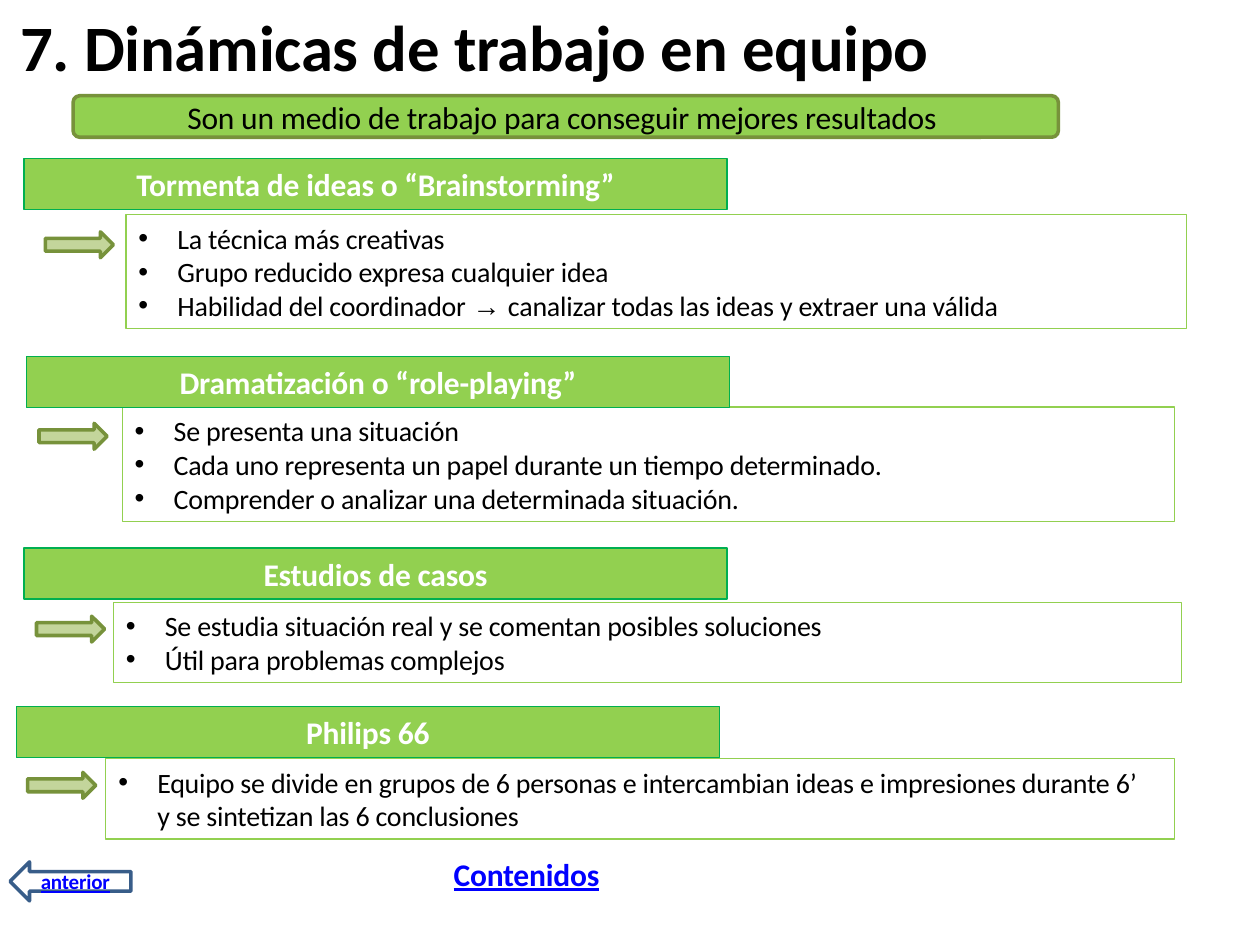
from lxml import etree
from pptx import Presentation
from pptx import util as u
from pptx.dml.color import RGBColor
from pptx.enum import shapes, text
from pptx.oxml.ns import qn

COLORS = {
    "green": "92D050", "emerald": "00AF50", "olive": "77923B", "sage": "C3D59B",
    "navy": "385D89", "link": "0000FF", "black": "000000", "white": "FFFFFF",
}
WIDTH, HEIGHT = u.Inches(10), u.Inches(7.5)
COLUMN, ROW = WIDTH / 100, HEIGHT / 75
HEADING_SIZE = (55.8, 4.05)
POINTER_SIZE = (5.4, 2.05)
LINE_ROWS, LIST_PADDING = 2.7, 1

TECHNIQUES = [
    {"heading": "Tormenta de ideas o “Brainstorming”", "heading_at": (1.9, 12.6),
     "list_at": (10, 17), "list_width": 84.2, "pointer_at": (3.6, 18.4), "lines": 3,
     "ideas": ["La técnica más creativas", "Grupo reducido expresa cualquier idea",
               "Habilidad del coordinador → canalizar todas las ideas y extraer una válida"]},
    {"heading": "Dramatización o “role-playing”", "heading_at": (2.1, 28.3),
     "list_at": (9.7, 32.3), "list_width": 83.5, "pointer_at": (3.1, 33.6), "lines": 3,
     "ideas": ["Se presenta una situación",
               "Cada uno representa un papel durante un tiempo determinado.",
               "Comprender o analizar una determinada situación."]},
    {"heading": "Estudios de casos", "heading_at": (1.9, 43.5),
     "list_at": (9, 47.8), "list_width": 84.8, "pointer_at": (2.9, 48.9), "lines": 2,
     "ideas": ["Se estudia situación real y se comentan posibles soluciones",
               "Útil para problemas complejos"]},
    {"heading": "Philips 66", "heading_at": (1.3, 56.1),
     "list_at": (8.4, 60.2), "list_width": 84.8, "pointer_at": (2.2, 61.3), "lines": 2,
     "ideas": ["Equipo se divide en grupos de 6 personas e intercambian ideas e impresiones "
               "durante 6’ y se sintetizan las 6 conclusiones"]},
]


def rgb(name):
    """Return the named palette colour."""
    return RGBColor.from_string(COLORS[name])


def place(left, top, width, height):
    """Turn grid columns and rows into slide lengths."""
    return [round(n * unit) for n, unit in
            zip((left, top, width, height), (COLUMN, ROW, COLUMN, ROW))]


def add_bullet(paragraph):
    """Give a paragraph a hanging round bullet."""
    properties = paragraph._p.get_or_add_pPr()
    hang = u.Inches(0.31)
    properties.set("marL", str(hang))
    properties.set("indent", str(-hang))
    etree.SubElement(properties, qn("a:buFont")).set("typeface", "Arial")
    etree.SubElement(properties, qn("a:buChar")).set("char", "•")


def write(holder, lines, size, color="black", bold=False, underline=False,
          align="CENTER", bullets=False, inset=(0, 0)):
    """Write formatted paragraphs into a shape or text box."""
    frame = holder.text_frame
    frame.word_wrap = True
    frame.vertical_anchor = text.MSO_ANCHOR.MIDDLE
    frame.margin_left, frame.margin_right = [u.Inches(side) for side in inset]
    frame.margin_top = frame.margin_bottom = 0
    for index, line in enumerate(lines):
        paragraph = frame.paragraphs[0] if index == 0 else frame.add_paragraph()
        paragraph.alignment = getattr(text.PP_ALIGN, align)
        if bullets:
            add_bullet(paragraph)
        for piece in filter(None, line.partition("→ ")):
            run = paragraph.add_run()
            run.text = piece
            font = run.font
            font.name = "Arial" if piece == "→ " else "Calibri"
            font.size, font.bold, font.underline = u.Pt(size), bold, underline
            font.color.rgb = rgb(color)
            run._r.get_or_add_rPr().set("spc", "-10")


def add_block(slide, kind, box, line, weight, fill=None):
    """Draw a preset shape with an outline and an optional fill."""
    block = slide.shapes.add_shape(getattr(shapes.MSO_SHAPE, kind), *place(*box))
    block.shadow.inherit = False
    block.line.color.rgb = rgb(line)
    block.line.width = u.Pt(weight)
    if fill:
        block.fill.solid()
        block.fill.fore_color.rgb = rgb(fill)
    else:
        block.fill.background()
    return block


def add_label(slide, box, label, **style):
    """Add a free-standing line of text."""
    write(slide.shapes.add_textbox(*place(*box)), [label], **style)


def add_technique(slide, technique):
    """Draw a technique's ideas, its pointer and its heading."""
    rows = technique["lines"] * LINE_ROWS + LIST_PADDING
    ideas = add_block(slide, "RECTANGLE",
                      (*technique["list_at"], technique["list_width"], rows), "green", 0.72)
    write(ideas, technique["ideas"], 16, align="LEFT", bullets=True, inset=(0.1, 0.15))
    add_block(slide, "RIGHT_ARROW", (*technique["pointer_at"], *POINTER_SIZE),
              "olive", 2.04, "sage")
    heading = add_block(slide, "RECTANGLE", (*technique["heading_at"], *HEADING_SIZE),
                        "emerald", 0.72, "green")
    write(heading, [technique["heading"]], 18, color="white", bold=True)


def main():
    """Build and save the slide on teamwork dynamics."""
    deck = Presentation()
    deck.slide_width, deck.slide_height = WIDTH, HEIGHT
    slide = deck.slides.add_slide(deck.slide_layouts[6])

    add_label(slide, (1.6, 0, 80, 7.2), "7. Dinámicas de trabajo en equipo",
              size=37, bold=True, align="LEFT")
    summary = add_block(slide, "ROUNDED_RECTANGLE", (5.8, 7.6, 78.2, 3.3),
                        "olive", 2.04, "green")
    summary.adjustments[0] = 0.16
    write(summary, ["Son un medio de trabajo para conseguir mejores resultados"], 18,
          inset=(0, 0.06))

    for technique in TECHNIQUES:
        add_technique(slide, technique)

    back = add_block(slide, "LEFT_ARROW", (0.8, 68.4, 9.6, 3.1), "navy", 2.04)
    write(back, ["anterior"], 12, color="link", bold=True, underline=True)
    add_label(slide, (36, 67.7, 12, 3.3), "Contenidos",
              size=18, color="link", bold=True, underline=True, align="LEFT")
    deck.save("out.pptx")


if __name__ == "__main__":
    main()
